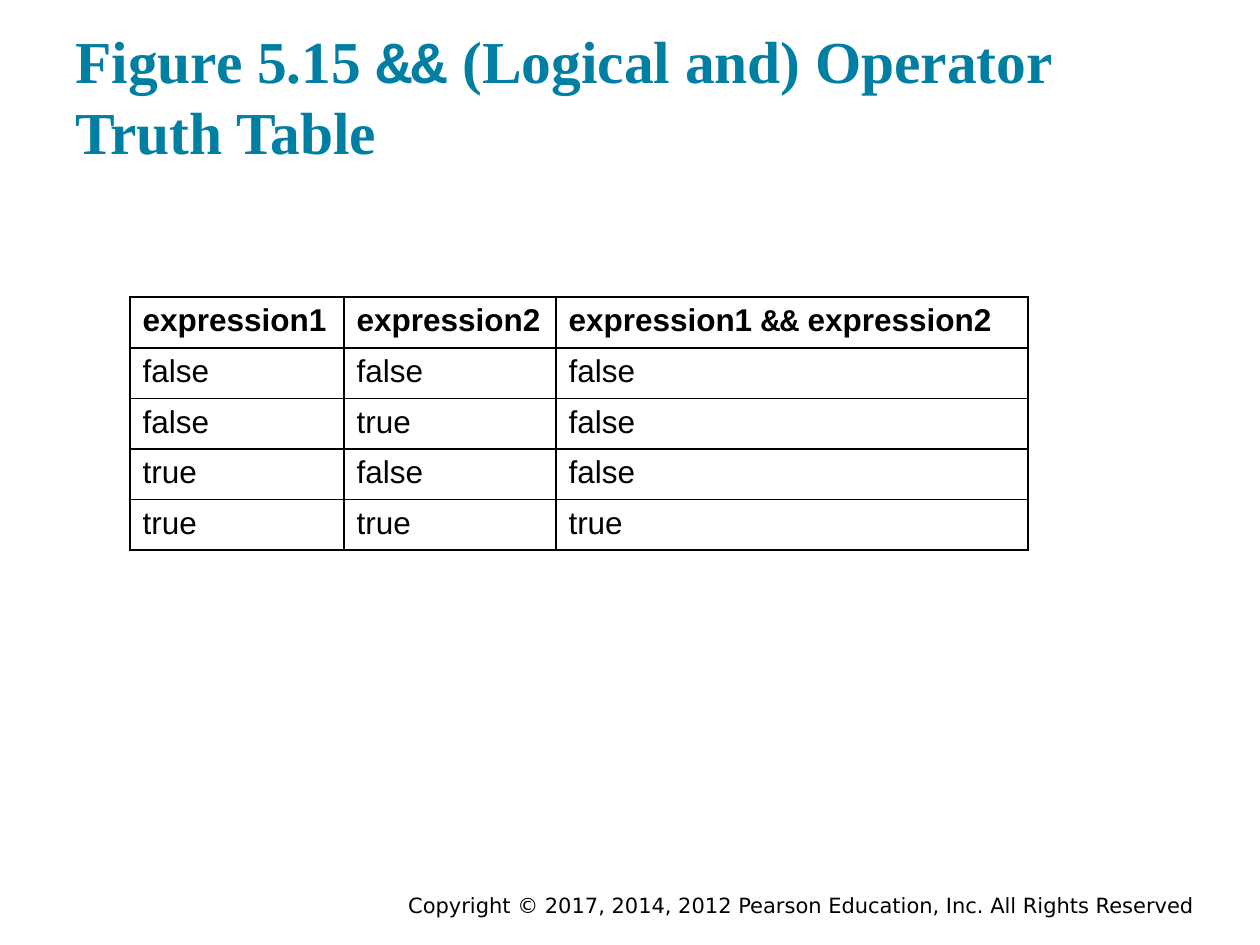
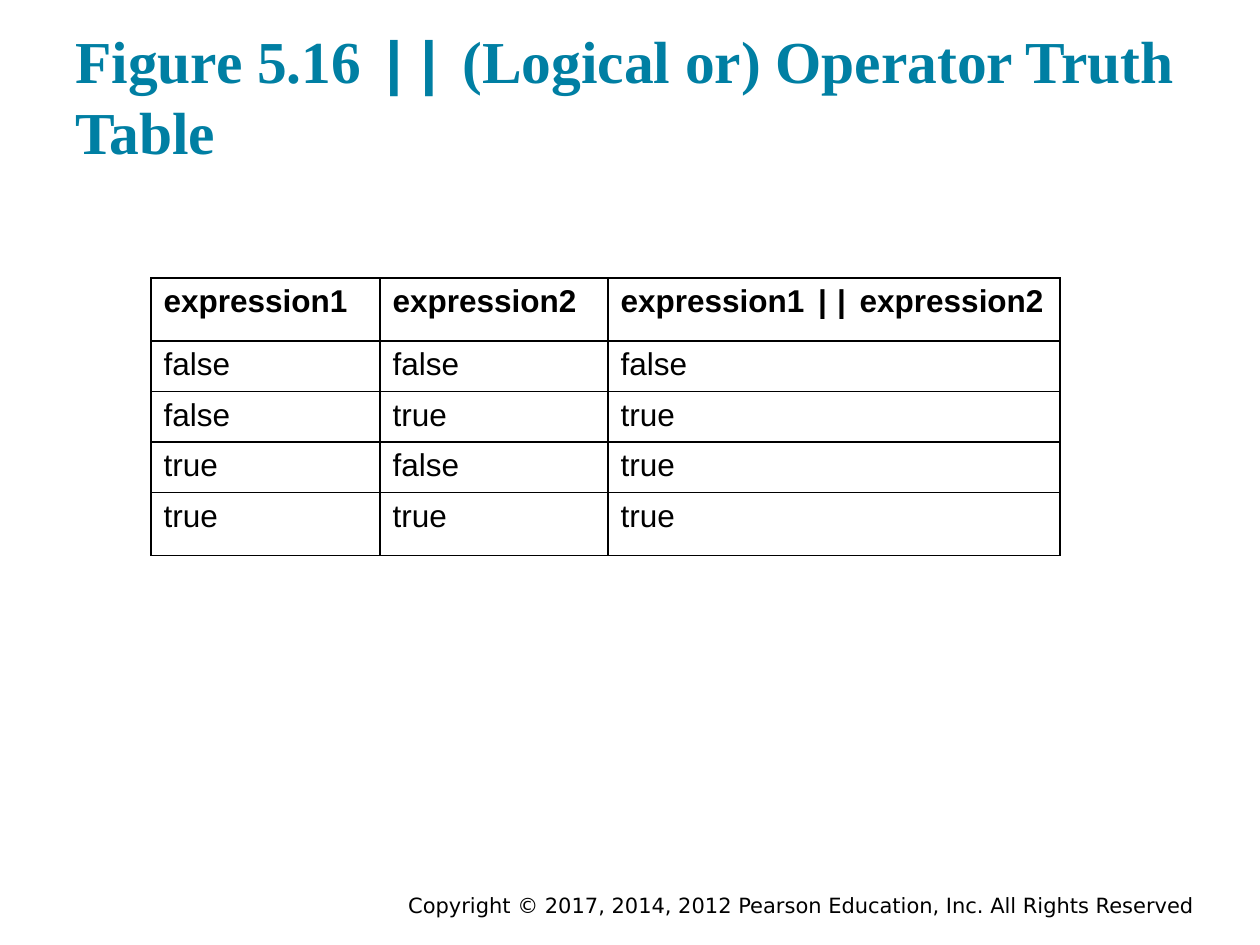
from itertools import product

from lxml import etree
from pptx import Presentation
from pptx import util as u
from pptx.dml.color import RGBColor
from pptx.enum import text
from pptx.oxml.ns import qn

PX = u.Inches(1) / 126
TEAL, BLACK = "007FA3", "000000"
SERIF, SANS, MONO, FOOTER_FONT = "Times New Roman", "Arial", "Courier New", "DejaVu Sans"
COPYRIGHT = "Copyright © 2017, 2014, 2012 Pearson Education, Inc. All Rights Reserved"


def px(n):
    return u.Emu(round(n * PX))


def rgb(value):
    return RGBColor.from_string(value)


def add_run(p, words, font, size, color, bold=False):
    r = p.add_run()
    r.text = words
    r.font.name = font
    r.font.size = u.Pt(size)
    r.font.color.rgb = rgb(color)
    r.font.bold = bold


def add_runs_around(p, before, operator, after, font, size, color):
    """Bold text with the operator set in the code font."""
    for words, name in ((before, font), (operator, MONO), (after, font)):
        add_run(p, words, name, size, color, bold=True)


def add_box(s, left, top, width, height, anchor, inset_y):
    tf = s.shapes.add_textbox(px(left), px(top), px(width), px(height)).text_frame
    tf.word_wrap = True
    tf.vertical_anchor = anchor
    tf.margin_left = tf.margin_right = u.Inches(0.1)
    tf.margin_top = tf.margin_bottom = u.Inches(inset_y)
    return tf.paragraphs[0]


def add_title(s, figure, operator, name):
    p = add_box(s, 63, 32, 1134, 147, text.MSO_ANCHOR.BOTTOM, 0.1)
    add_runs_around(p, f"Figure {figure} ", operator,
                    f" (Logical {name}) Operator Truth Table", SERIF, 34, TEAL)


def add_footer(s):
    p = add_box(s, 365, 888, 842, 34, text.MSO_ANCHOR.MIDDLE, 0.05)
    p.alignment = text.PP_ALIGN.RIGHT
    add_run(p, COPYRIGHT, FOOTER_FONT, 12, BLACK)


def style_cell(cell):
    """No fill and a thin black border on every side."""
    tcPr = cell._tc.get_or_add_tcPr()
    for side in ("a:lnL", "a:lnR", "a:lnT", "a:lnB"):
        ln = etree.SubElement(tcPr, qn(side), w=str(u.Pt(1)))
        fill = etree.SubElement(ln, qn("a:solidFill"))
        etree.SubElement(fill, qn("a:srgbClr"), val=BLACK)
    cell.fill.background()


def add_truth_table(s, left, top, widths, heights, operator, rule):
    table = s.shapes.add_table(len(heights), len(widths), px(left), px(top),
                               px(sum(widths)), px(sum(heights))).table
    for column, width in zip(table.columns, widths):
        column.width = px(width)
    for row, height in zip(table.rows, heights):
        row.height = px(height)
    for cell in table.iter_cells():
        style_cell(cell)

    # Header row
    first, second, result = (table.cell(0, c).text_frame.paragraphs[0] for c in range(3))
    add_run(first, "expression1", SANS, 18, BLACK, bold=True)
    add_run(second, "expression2", SANS, 18, BLACK, bold=True)
    add_runs_around(result, "expression1 ", operator, " expression2", SANS, 18, BLACK)

    # One row for each pair of operands
    for i, pair in enumerate(product((False, True), repeat=2), 1):
        for j, value in enumerate((*pair, rule(pair))):
            p = table.cell(i, j).text_frame.paragraphs[0]
            add_run(p, str(value).lower(), SANS, 18, BLACK)


def add_operator_slide(prs, figure, operator, name, **table):
    s = prs.slides.add_slide(prs.slide_layouts[6])
    add_footer(s)
    add_title(s, figure, operator, name)
    add_truth_table(s, operator=operator, **table)


def main():
    prs = Presentation()
    prs.slide_width, prs.slide_height = px(1260), px(945)
    add_operator_slide(prs, "5.15", "&&", "and", rule=all, left=130, top=297,
                       widths=(214, 212, 472), heights=(51, 48, 48, 48, 48))
    add_operator_slide(prs, "5.16", "||", "or", rule=any, left=151, top=278,
                       widths=(229, 228, 452), heights=(63, 49, 48, 48, 63))
    prs.save("out.pptx")


if __name__ == "__main__":
    main()
